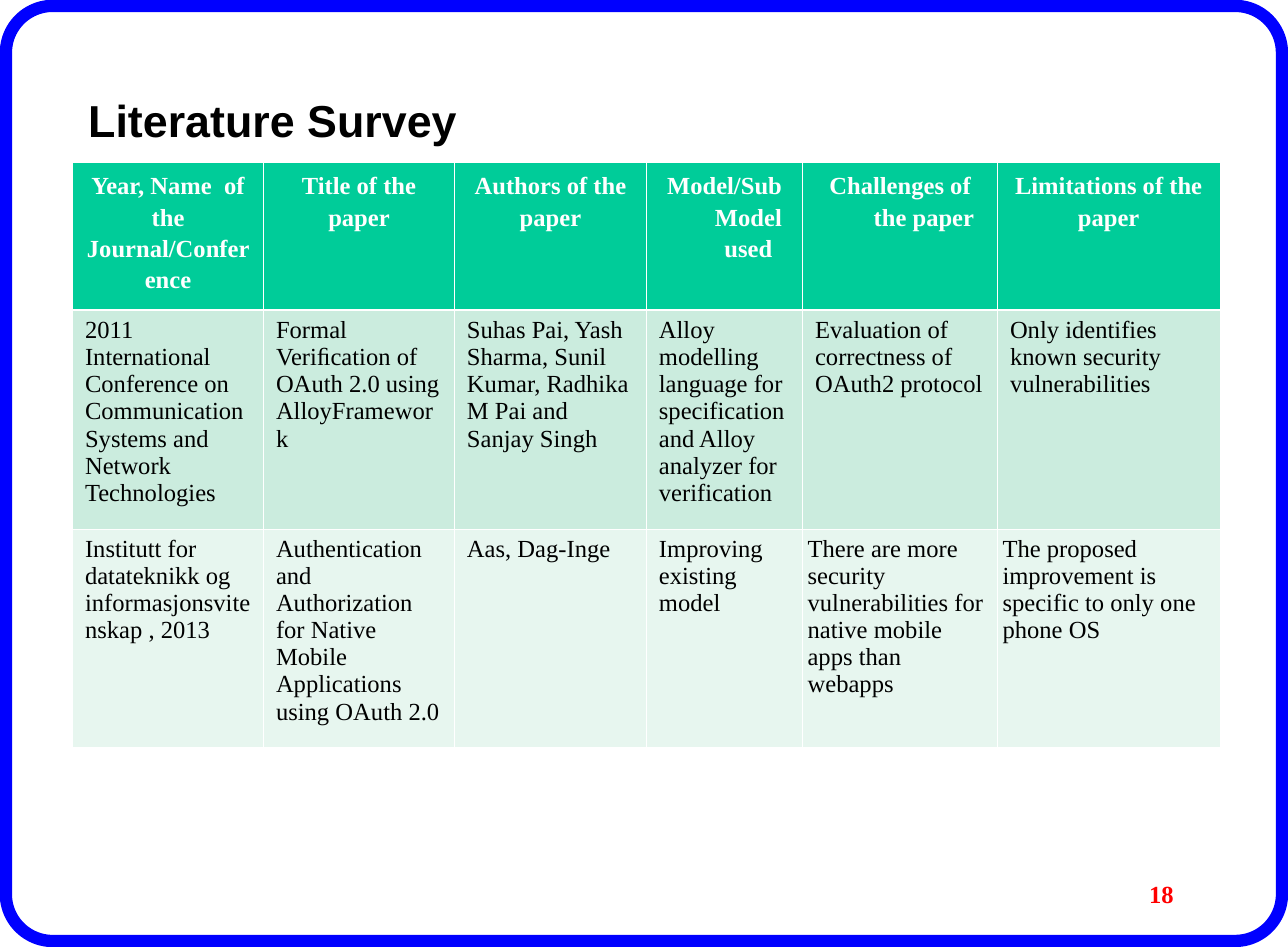
"""Build the literature survey slide with its comparison table."""
from dataclasses import dataclass

from pptx import Presentation
from pptx.dml.color import RGBColor
from pptx.enum.dml import MSO_LINE
from pptx.enum.shapes import MSO_SHAPE
from pptx.enum.text import MSO_ANCHOR, MSO_AUTO_SIZE, PP_ALIGN
from pptx.oxml import parse_xml
from pptx.oxml.ns import nsdecls
from pptx.util import Cm, Pt

BLUE = RGBColor(0x00, 0x00, 0xFF)
RED = RGBColor(0xFF, 0x00, 0x00)
BLACK = RGBColor(0x00, 0x00, 0x00)
WHITE = RGBColor(0xFF, 0xFF, 0xFF)
GREEN = RGBColor(0x00, 0xCC, 0x99)
MINT = RGBColor(0xCB, 0xEC, 0xDE)
PALE_MINT = RGBColor(0xE7, 0xF6, 0xEF)

SERIF = "Times New Roman"
TITLE_FONT = {"name": "Arial", "size": Pt(44), "bold": True}
HEADER_FONT = {"name": SERIF, "size": Pt(14), "bold": True}
BODY_FONT = {"name": SERIF, "size": Pt(14), "bold": False}
HEADER_PARAGRAPH = {"alignment": PP_ALIGN.CENTER, "line_spacing": 1.15}
BODY_PARAGRAPH = {"alignment": PP_ALIGN.LEFT}
FRAME_INSET = Cm(0.12)
THIN, THICK = Pt(0.45), Pt(1.47)
COLUMN_WIDTHS = [Cm(w) for w in (3.84, 3.84, 3.86, 3.14, 3.92, 4.47)]


@dataclass(frozen=True)
class Entry:
    text: str
    margin: float = 0.25
    hanging: float = 0


@dataclass(frozen=True)
class SurveyRow:
    entries: tuple[Entry, ...]
    height: float
    fill: RGBColor
    color: RGBColor
    font: dict
    paragraph: dict
    top_edge: int = THIN
    bottom_edge: int = THIN


SURVEY = (
    SurveyRow((
        Entry("Year, Name  of the Journal/Conference", 0.2),
        Entry("Title of the paper", 0.2),
        Entry("Authors of the paper", 0.2),
        Entry("Model/Sub Model used", 0.2, 0.96),
        Entry("Challenges of the paper", 0.2, 0.96),
        Entry("Limitations of the paper", 0.2),
    ), 2.97, GREEN, WHITE, HEADER_FONT, HEADER_PARAGRAPH, bottom_edge=THICK),
    SurveyRow((
        Entry("2011 International Conference on Communication Systems "
              "and Network Technologies"),
        Entry("Formal Veriﬁcation of OAuth 2.0 using AlloyFramework"),
        Entry("Suhas Pai, Yash Sharma, Sunil Kumar, Radhika M Pai "
              "and Sanjay Singh"),
        Entry("Alloy modelling language for specification and Alloy "
              "analyzer for verification"),
        Entry("Evaluation of correctness of OAuth2 protocol"),
        Entry("Only identifies known security vulnerabilities"),
    ), 4.4, MINT, BLACK, BODY_FONT, BODY_PARAGRAPH, top_edge=THICK),
    SurveyRow((
        Entry("Institutt for datateknikk og informasjonsvitenskap , 2013"),
        Entry("Authentication and Authorization for Native Mobile "
              "Applications using OAuth 2.0"),
        Entry("Aas, Dag-Inge"),
        Entry("Improving existing model"),
        Entry("There are more security vulnerabilities for native mobile "
              "apps than webapps", 0.1),
        Entry("The proposed improvement is specific to only one phone OS",
              0.1),
    ), 4.4, PALE_MINT, BLACK, BODY_FONT, BODY_PARAGRAPH),
)


def apply(target: object, values: dict) -> None:
    """Set each named attribute on the target."""
    for name, value in values.items():
        setattr(target, name, value)


def write(text_frame, text: str, font: dict, color: RGBColor,
          paragraph_format: dict):
    """Fill the first paragraph and return it."""
    paragraph = text_frame.paragraphs[0]
    apply(paragraph, paragraph_format)
    run = paragraph.add_run()
    run.text = text
    apply(run.font, font)
    run.font.color.rgb = color
    return paragraph


def add_frame(slide, width: int, height: int) -> None:
    """Draw the rounded border around the slide."""
    border = slide.shapes.add_shape(
        MSO_SHAPE.ROUNDED_RECTANGLE, FRAME_INSET, FRAME_INSET,
        width - 2 * FRAME_INSET, height - 2 * FRAME_INSET)
    border.adjustments[0] = 0.05
    border.shadow.inherit = False
    border.fill.background()
    border.line.color.rgb = BLUE
    apply(border.line, {"width": Pt(7), "dash_style": MSO_LINE.SOLID})


def add_title(slide) -> None:
    """Place and format the title placeholder."""
    title = slide.shapes.title
    apply(title, {"left": Cm(1.52), "top": Cm(0.84),
                  "width": Cm(23.7), "height": Cm(2.11)})
    apply(title.text_frame, {"vertical_anchor": MSO_ANCHOR.MIDDLE,
                             "auto_size": MSO_AUTO_SIZE.NONE})
    heading = write(title.text_frame, "Literature Survey", TITLE_FONT, BLACK,
                    BODY_PARAGRAPH)
    heading.runs[0].font._element.set("baseline", "-25000")


def draw_edges(cell, row: SurveyRow) -> None:
    """Give a cell its white borders."""
    edges = {"lnL": THIN, "lnR": THIN,
             "lnT": row.top_edge, "lnB": row.bottom_edge}
    properties = cell._tc.get_or_add_tcPr()
    for tag, width in edges.items():
        properties.append(parse_xml(
            f'<a:{tag} {nsdecls("a")} w="{int(width)}"><a:solidFill>'
            f'<a:srgbClr val="{WHITE}"/></a:solidFill></a:{tag}>'))


def fill_cell(cell, entry: Entry, row: SurveyRow) -> None:
    """Write and format one table cell."""
    draw_edges(cell, row)
    cell.fill.solid()
    cell.fill.fore_color.rgb = row.fill
    apply(cell, {"margin_left": Cm(entry.margin),
                 "margin_right": Cm(entry.margin),
                 "margin_top": Cm(0.13), "margin_bottom": Cm(0.13),
                 "vertical_anchor": MSO_ANCHOR.TOP})
    paragraph = write(cell.text_frame, entry.text, row.font, row.color,
                      row.paragraph)
    if entry.hanging:
        indent = Cm(entry.hanging)
        properties = paragraph._p.get_or_add_pPr()
        properties.set("marL", str(int(indent)))
        properties.set("indent", str(-int(indent)))


def add_survey(slide) -> None:
    """Build the survey table."""
    survey = slide.shapes.add_table(
        len(SURVEY), len(COLUMN_WIDTHS), Cm(1.46), Cm(3.27),
        sum(COLUMN_WIDTHS), Cm(sum(row.height for row in SURVEY))).table
    for column, width in zip(survey.columns, COLUMN_WIDTHS):
        column.width = width
    for table_row, row in zip(survey.rows, SURVEY):
        table_row.height = Cm(row.height)
        for cell, entry in zip(table_row.cells, row.entries):
            fill_cell(cell, entry, row)


def add_page_number(slide) -> None:
    """Write the page number at the lower right."""
    page_number = slide.shapes.add_textbox(
        Cm(18.47), Cm(17.35), Cm(5.38), Cm(1.27)).text_frame
    apply(page_number, {"word_wrap": True,
                        "vertical_anchor": MSO_ANCHOR.MIDDLE})
    write(page_number, "18", HEADER_FONT, RED,
          {"alignment": PP_ALIGN.RIGHT})


def main() -> None:
    """Assemble and save the slide."""
    deck = Presentation()
    apply(deck, {"slide_width": Cm(25.9), "slide_height": Cm(19.05)})
    slide = deck.slides.add_slide(deck.slide_layouts[5])
    add_frame(slide, deck.slide_width, deck.slide_height)
    add_survey(slide)
    add_title(slide)
    add_page_number(slide)
    deck.save("out.pptx")


if __name__ == "__main__":
    main()
